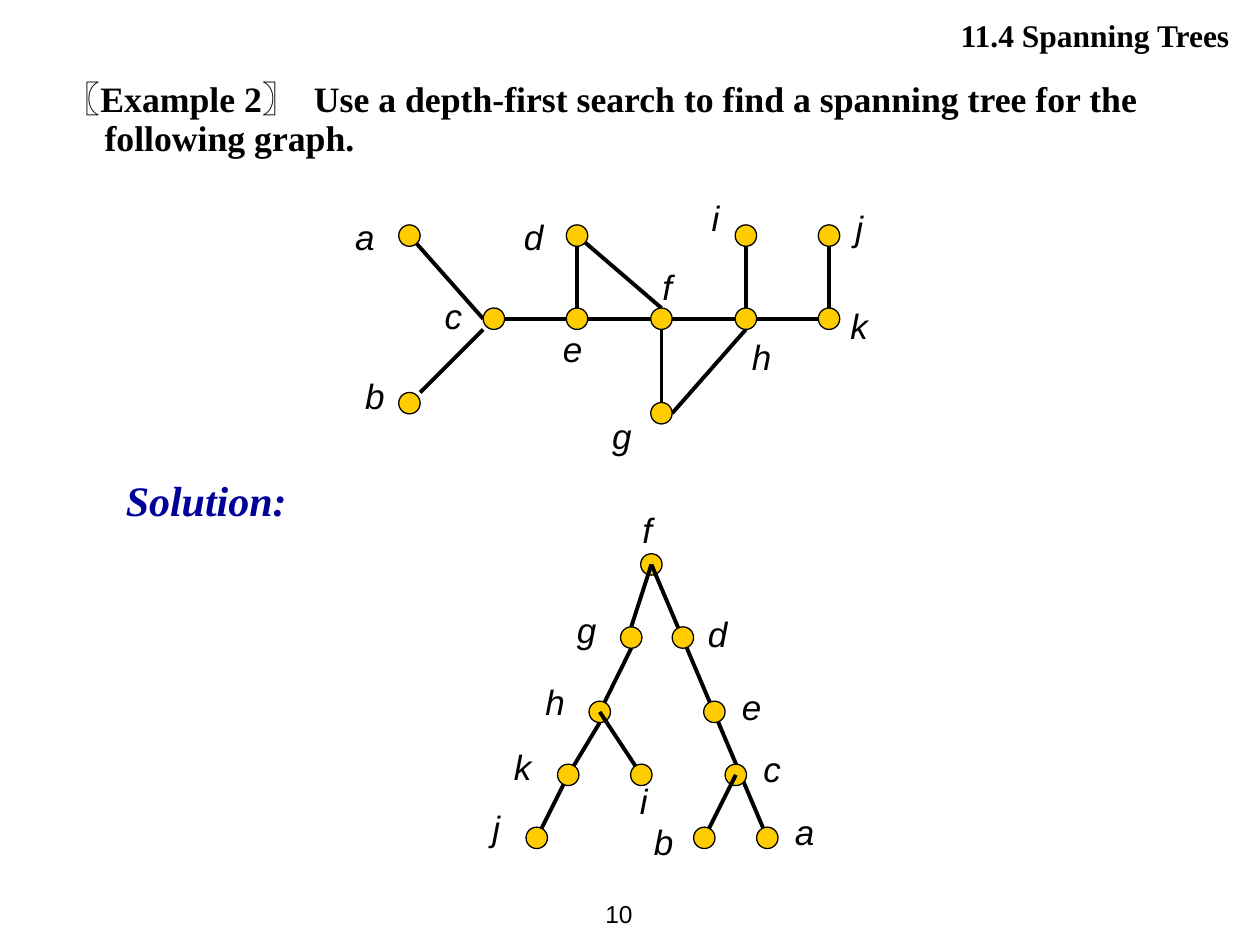
from lxml import etree
from pptx import Presentation
from pptx.dml.color import RGBColor
from pptx.enum.shapes import MSO_CONNECTOR, MSO_SHAPE
from pptx.enum.text import MSO_ANCHOR, MSO_AUTO_SIZE, PP_ALIGN
from pptx.oxml.ns import qn
from pptx.util import Inches, Pt

LEFT, RIGHT = PP_ALIGN.LEFT, PP_ALIGN.RIGHT
TOP, MIDDLE = MSO_ANCHOR.TOP, MSO_ANCHOR.MIDDLE
FIT_SHAPE, NO_FIT = MSO_AUTO_SIZE.SHAPE_TO_FIT_TEXT, MSO_AUTO_SIZE.NONE
ELLIPSE, STRAIGHT = MSO_SHAPE.OVAL, MSO_CONNECTOR.STRAIGHT

COLORS = {"text": "000000", "solution": "000099", "node": "FFCC00", "line": "000000"}
SERIF, SANS = "Times New Roman", "Arial"

HEADER = " 11.4 Spanning Trees "
EXAMPLE = [(" ", False),
           ("〖Example 2〗  Use a depth-first search to find a spanning tree "
            "for the following graph.", True)]
SOLUTION = "Solution:"
PAGE_NUMBER = "10"

NODE_SIZE = 0.17
# Points of a node, in node radii from its centre
ANCHORS = {"centre": (0, 0), "top": (0, -1), "bottom": (0, 1), "left": (-1, 0),
           "right": (1, 0), "top right": (1, -1), "bottom left": (-1, 1)}

# Node: centre x, centre y, label left, label top, label width if not the usual one
GRAPH_NODES = {
    "a": (3.25, 1.87, 2.72, 1.66), "b": (3.25, 3.2, 2.8, 2.92),
    "c": (3.92, 2.53, 3.43, 2.29), "d": (4.58, 1.87, 4.06, 1.66),
    "e": (4.58, 2.53, 4.37, 2.55), "f": (5.25, 2.53, 5.16, 2.06),
    "g": (5.25, 3.28, 4.76, 3.24), "h": (5.92, 2.53, 5.87, 2.61),
    "i": (5.92, 1.87, 5.55, 1.51), "j": (6.58, 1.87, 6.69, 1.59),
    "k": (6.58, 2.53, 6.65, 2.37),
}
TREE_NODES = {
    "f": (5.17, 4.48, 5, 3.99), "g": (5.01, 5.06, 4.48, 4.78),
    "h": (4.76, 5.65, 4.23, 5.35, 0.42), "k": (4.51, 6.15, 3.98, 5.87),
    "j": (4.26, 6.65, 3.81, 6.35), "i": (5.09, 6.15, 4.98, 6.14),
    "d": (5.42, 5.06, 5.52, 4.81, 0.42), "e": (5.67, 5.65, 5.79, 5.39, 0.5),
    "c": (5.84, 6.15, 5.96, 5.88), "a": (6.09, 6.65, 6.21, 6.38),
    "b": (5.59, 6.65, 5.09, 6.46, 0.42),
}

# Layers from back to front: edges first, then the nodes over them
GRAPH_LAYERS = [
    ([("a", "centre", "c", "left"), ("b", "top right", "c", "bottom left"),
      ("c", "right", "e", "left"), ("e", "right", "f", "left"),
      ("f", "right", "h", "left"), ("h", "right", "k", "left"),
      ("i", "bottom", "h", "top"), ("j", "bottom", "k", "top"),
      ("f", "bottom", "g", "top"), ("g", "right", "h", "bottom"),
      ("d", "bottom", "e", "top"), ("d", "centre", "f", "top")], "abcdefghijk"),
]
TREE_LAYERS = [
    ([], "f"),
    ([("f", "centre", "g", "top"), ("g", "bottom", "h", "centre"),
      ("h", "bottom", "k", "centre"), ("k", "centre", "j", "centre")], "ghkj"),
    ([("h", "centre", "i", "centre")], "i"),
    ([("f", "centre", "a", "centre")], "deca"),
    ([("c", "centre", "b", "centre")], "b"),
]


def color(name):
    return RGBColor.from_string(COLORS[name])


def place(shape, left, top, width, height):
    shape.left, shape.top = Inches(left), Inches(top)
    shape.width, shape.height = Inches(width), Inches(height)


def write(shape, text, size, font_name, bold=False, italic=False, align=LEFT,
          anchor=TOP, wrap=True, fit=FIT_SHAPE, fill="text"):
    """Fill a one-paragraph shape; text is a string or a list of (text, bold) runs."""
    frame = shape.text_frame
    frame.word_wrap, frame.auto_size, frame.vertical_anchor = wrap, fit, anchor
    paragraph = frame.paragraphs[0]
    paragraph.alignment = align
    paragraph.space_before = Pt(0)
    for run_text, run_bold in [(text, bold)] if isinstance(text, str) else text:
        run = paragraph.add_run()
        run.text = run_text
        font = run.font
        font.name, font.size = font_name, Pt(size)
        font.bold, font.italic = run_bold, italic
        font.color.rgb = color(fill)
    return paragraph


def add_text(slide, box, text, size, font_name, **style):
    shape = slide.shapes.add_textbox(*map(Inches, box))
    write(shape, text, size, font_name, **style)


def anchor_point(node, anchor):
    dx, dy = ANCHORS[anchor]
    radius = NODE_SIZE / 2
    return Inches(node[0] + dx * radius), Inches(node[1] + dy * radius)


def add_edge(slide, start, end):
    connector = slide.shapes.add_connector(STRAIGHT, *start, *end)
    connector.line.color.rgb = color("line")
    connector.line.width = Pt(2.25)
    etree.SubElement(connector._element.spPr, qn("a:effectLst"))


def add_node(slide, name, x, y, label_left, label_top, label_width=0.33):
    circle = slide.shapes.add_shape(
        ELLIPSE, Inches(x - NODE_SIZE / 2), Inches(y - NODE_SIZE / 2),
        Inches(NODE_SIZE), Inches(NODE_SIZE))
    circle.shadow.inherit = False
    circle.fill.solid()
    circle.fill.fore_color.rgb = color("node")
    circle.line.color.rgb = color("line")
    circle.line.width = Pt(0.75)
    add_text(slide, (label_left, label_top, label_width, 0.44), name, 20, SANS, italic=True)


def draw_network(slide, nodes, layers):
    for edges, names in layers:
        for start, start_anchor, end, end_anchor in edges:
            add_edge(slide, anchor_point(nodes[start], start_anchor),
                     anchor_point(nodes[end], end_anchor))
        for name in names:
            add_node(slide, name, *nodes[name])


def main():
    presentation = Presentation()
    presentation.slide_width, presentation.slide_height = Inches(10), Inches(7.5)
    slide = presentation.slides.add_slide(presentation.slide_layouts[1])

    title, body = slide.shapes.title, slide.placeholders[1]
    place(title, 3.98, 0.08, 5.94, 0.4)
    write(title, HEADER, 18, SERIF, bold=True, align=RIGHT)

    place(body, 0.35, 0.6, 9.15, 0.79)
    paragraph = write(body, EXAMPLE, 20.4, SERIF, fit=NO_FIT)
    paragraph.line_spacing = 0.9
    properties = paragraph._p.get_or_add_pPr()
    properties.set("marL", str(Inches(0.38)))
    properties.set("indent", str(Inches(-0.38)))
    etree.SubElement(properties, qn("a:buNone"))

    add_text(slide, (0.9, 3.72, 8.5, 0.5), SOLUTION, 24, SERIF,
             bold=True, italic=True, fill="solution")
    draw_network(slide, GRAPH_NODES, GRAPH_LAYERS)
    draw_network(slide, TREE_NODES, TREE_LAYERS)
    add_text(slide, (4.45, 7, 0.67, 0.5), PAGE_NUMBER, 14, SANS,
             align=RIGHT, anchor=MIDDLE, wrap=False, fit=NO_FIT)
    presentation.save("out.pptx")


if __name__ == "__main__":
    main()
